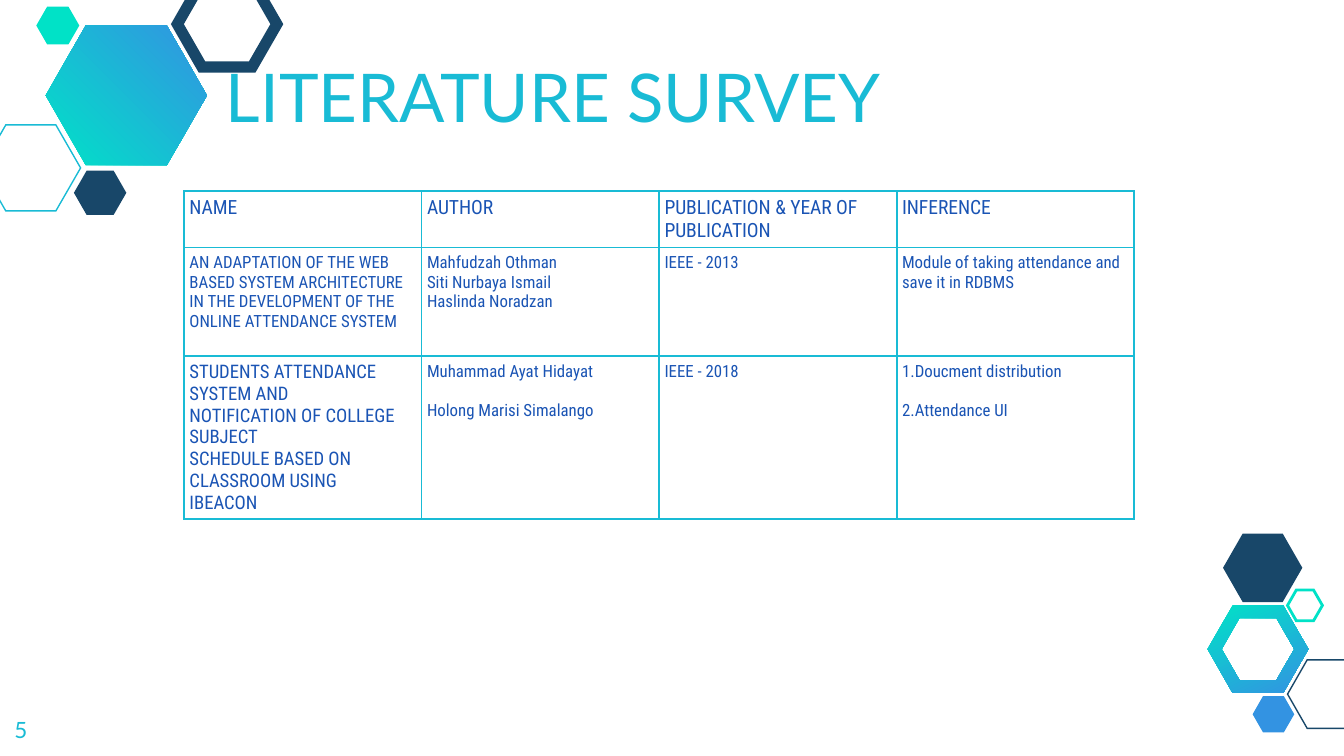
from pptx import Presentation, util as u
from pptx.dml.color import RGBColor
from pptx.enum import shapes, text
from pptx.oxml import parse_xml
from pptx.oxml.ns import nsdecls

WIDTH = 10
HEIGHT = WIDTH * 9 / 16
CYAN, NAVY, TEAL, BLUE, INK = "19BBD5", "184769", "00E2C7", "3393E2", "1A54B4"
TITLE_FONT, TABLE_FONT = "Lato", "Roboto Condensed"
SLANT = 0.287

TITLE = "LITERATURE SURVEY"
PAGE_NUMBER = "5"
HEADINGS = ["NAME", "AUTHOR", "PUBLICATION & YEAR OF PUBLICATION", "INFERENCE"]
PAPERS = [
    [
        ["AN ADAPTATION OF THE WEB BASED SYSTEM ARCHITECTURE IN THE "
         "DEVELOPMENT OF THE ONLINE ATTENDANCE SYSTEM"],
        ["Mahfudzah Othman", "Siti Nurbaya Ismail", "Haslinda Noradzan"],
        ["IEEE - 2013"],
        ["Module of taking attendance and save it in RDBMS"],
    ],
    [
        ["STUDENTS ATTENDANCE SYSTEM AND", "NOTIFICATION OF COLLEGE SUBJECT",
         "SCHEDULE BASED ON CLASSROOM USING", "IBEACON"],
        ["Muhammad Ayat Hidayat", "Holong Marisi Simalango"],
        ["IEEE - 2018"],
        ["1.Doucment distribution", "2.Attendance UI"],
    ],
]
ROWS = [[[heading] for heading in HEADINGS]] + PAPERS
ROW_HEIGHTS = [0.42, 0.81, 1.21]
ROW_SIZES = [[10.5] * 4, [9] * 4, [10, 9, 9, 9]]
ROW_GAPS = [[0] * 4, [0] * 4, [0, 10.5, 0, 10.5]]
TABLE_LEFT, TABLE_TOP, TABLE_WIDTH = 1.37, 1.42, 7.07

SOLID_HEXAGONS = [
    (0.55, 1.27, 0.39, 0.33, NAVY),
    (0.27, 0.05, 0.32, 0.28, TEAL),
    (9.32, 5.18, 0.31, 0.27, BLUE),
    (9.1, 3.97, 0.59, 0.51, NAVY),
]
OUTLINE_HEXAGONS = [
    (-0.14, 0.93, 0.74, 0.64, CYAN, 0.75),
    (1.32, -0.14, 0.74, 0.64, NAVY, 6),
    (9.58, 4.91, 0.59, 0.51, NAVY, 0.75),
    (9.58, 4.39, 0.26, 0.23, TEAL, 1.5),
]
LARGE_HEXAGON = (0.34, 0.19, 1.2, 1.04)
RING_CENTRE = (9.36, 4.83)
RING_OUTER, RING_INNER = (0.75, 0.65), (0.54, 0.46)


def colour(value):
    return RGBColor.from_string(value)


def add_hexagon(page, left, top, width, height):
    hexagon = page.shapes.add_shape(
        shapes.MSO_SHAPE.HEXAGON, *map(u.Inches, (left, top, width, height)))
    hexagon.adjustments[0] = SLANT
    hexagon.shadow.inherit = False
    hexagon.fill.background()
    hexagon.line.fill.background()
    return hexagon


def fill_solid(shape, value):
    shape.fill.solid()
    shape.fill.fore_color.rgb = colour(value)


def fill_gradient(shape, angle):
    shape.fill.gradient()
    shape.fill.gradient_angle = angle
    for stop, value in zip(shape.fill.gradient_stops, (TEAL, BLUE)):
        stop.color.rgb = colour(value)


def draw_outline(shape, value, weight):
    shape.line.color.rgb = colour(value)
    shape.line.width = u.Pt(weight)
    shape.line._get_or_add_ln().append(
        parse_xml(f'<a:miter {nsdecls("a")} lim="800000"/>'))


def hexagon_points(centre, size):
    x, y = centre
    half_width, half_height = size[0] / 2, size[1] / 2
    inner = half_width - SLANT * size[1]
    corners = [(x - half_width, y), (x - inner, y - half_height),
               (x + inner, y - half_height), (x + half_width, y),
               (x + inner, y + half_height), (x - inner, y + half_height)]
    return [tuple(map(u.Inches, corner)) for corner in corners]


def add_ring(page):
    outer = hexagon_points(RING_CENTRE, RING_OUTER)
    inner = hexagon_points(RING_CENTRE, RING_INNER)[::-1]
    builder = page.shapes.build_freeform(*outer[0])
    builder.add_line_segments(outer[1:], close=True)
    builder.move_to(*inner[0])
    builder.add_line_segments(inner[1:], close=True)
    ring = builder.convert_to_shape()
    ring.shadow.inherit = False
    ring.line.fill.background()
    fill_gradient(ring, 296)


def add_span(para, words, font, size, value):
    span = para.add_run()
    span.text = words
    span.font.name = font
    span.font.size = u.Pt(size)
    span.font.color.rgb = colour(value)


def set_frame(frame, anchor):
    frame.word_wrap = True
    frame.auto_size = text.MSO_AUTO_SIZE.NONE
    frame.vertical_anchor = anchor
    frame.margin_left = frame.margin_right = u.Inches(0.1)
    frame.margin_top = frame.margin_bottom = u.Inches(0.1)
    frame.paragraphs[0].alignment = text.PP_ALIGN.LEFT


def place(shape, left, top, width, height):
    shape.left, shape.top = u.Inches(left), u.Inches(top)
    shape.width, shape.height = u.Inches(width), u.Inches(height)


def add_borders(cell):
    properties = cell._tc.get_or_add_tcPr()
    for position, side in enumerate(("lnL", "lnR", "lnT", "lnB")):
        properties.insert(position, parse_xml(
            f'<a:{side} {nsdecls("a")} w="{u.Pt(1)}"><a:solidFill>'
            f'<a:srgbClr val="{CYAN}"/></a:solidFill></a:{side}>'))


def fill_cell(cell, lines, size, gap):
    cell.margin_left = cell.margin_right = u.Inches(0.04)
    cell.margin_top = cell.margin_bottom = u.Inches(0.04)
    cell.fill.background()
    add_borders(cell)
    frame = cell.text_frame
    for index, line in enumerate(lines):
        para = frame.add_paragraph() if index else frame.paragraphs[0]
        if index and gap:
            para.space_before = u.Pt(gap)
        add_span(para, line, TABLE_FONT, size, INK)


def add_survey_table(page):
    table = page.shapes.add_table(
        len(ROWS), len(HEADINGS), u.Inches(TABLE_LEFT), u.Inches(TABLE_TOP),
        u.Inches(TABLE_WIDTH), u.Inches(sum(ROW_HEIGHTS))).table
    table.first_row = table.horz_banding = False
    for r, row in enumerate(ROWS):
        table.rows[r].height = u.Inches(ROW_HEIGHTS[r])
        for c, lines in enumerate(row):
            fill_cell(table.cell(r, c), lines, ROW_SIZES[r][c], ROW_GAPS[r][c])


def main():
    deck = Presentation()
    deck.slide_width, deck.slide_height = u.Inches(WIDTH), u.Inches(HEIGHT)
    page = deck.slides.add_slide(deck.slide_layouts[5])

    add_ring(page)
    fill_gradient(add_hexagon(page, *LARGE_HEXAGON), 45)
    for *area, value in SOLID_HEXAGONS:
        fill_solid(add_hexagon(page, *area), value)
    for *area, value, weight in OUTLINE_HEXAGONS:
        draw_outline(add_hexagon(page, *area), value, weight)

    title = page.shapes.title
    place(title, 1.58, 0.13, 8.24, 0.98)
    set_frame(title.text_frame, text.MSO_ANCHOR.BOTTOM)
    add_span(title.text_frame.paragraphs[0], TITLE, TITLE_FONT, 36, CYAN)
    page.shapes._spTree.append(title._element)

    number = page.shapes.add_textbox(0, 0, 0, 0)
    place(number, 0.01, 5.23, 0.6, 0.39)
    set_frame(number.text_frame, text.MSO_ANCHOR.TOP)
    add_span(number.text_frame.paragraphs[0], PAGE_NUMBER, TITLE_FONT, 12, CYAN)

    add_survey_table(page)
    deck.save("out.pptx")


if __name__ == "__main__":
    main()
